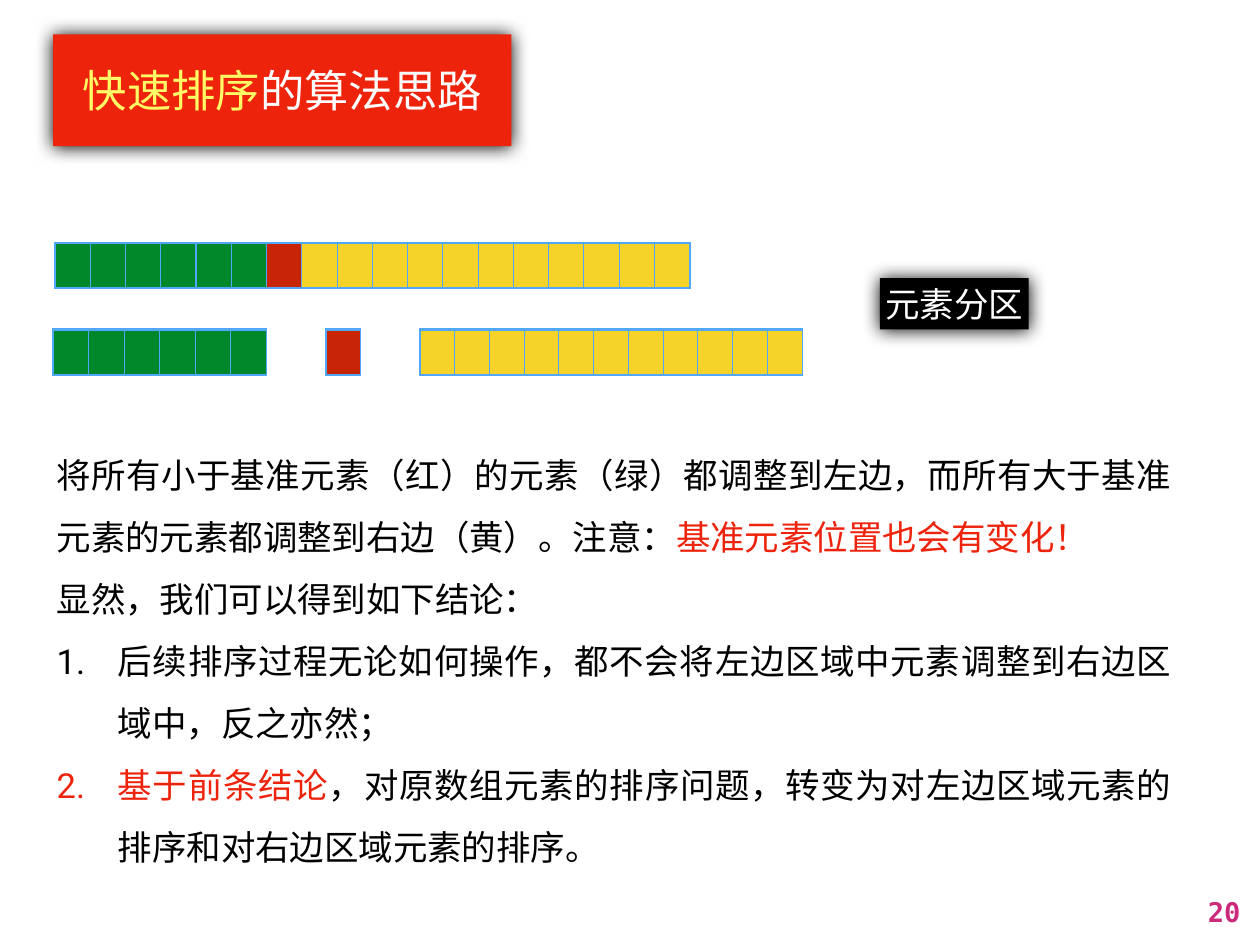
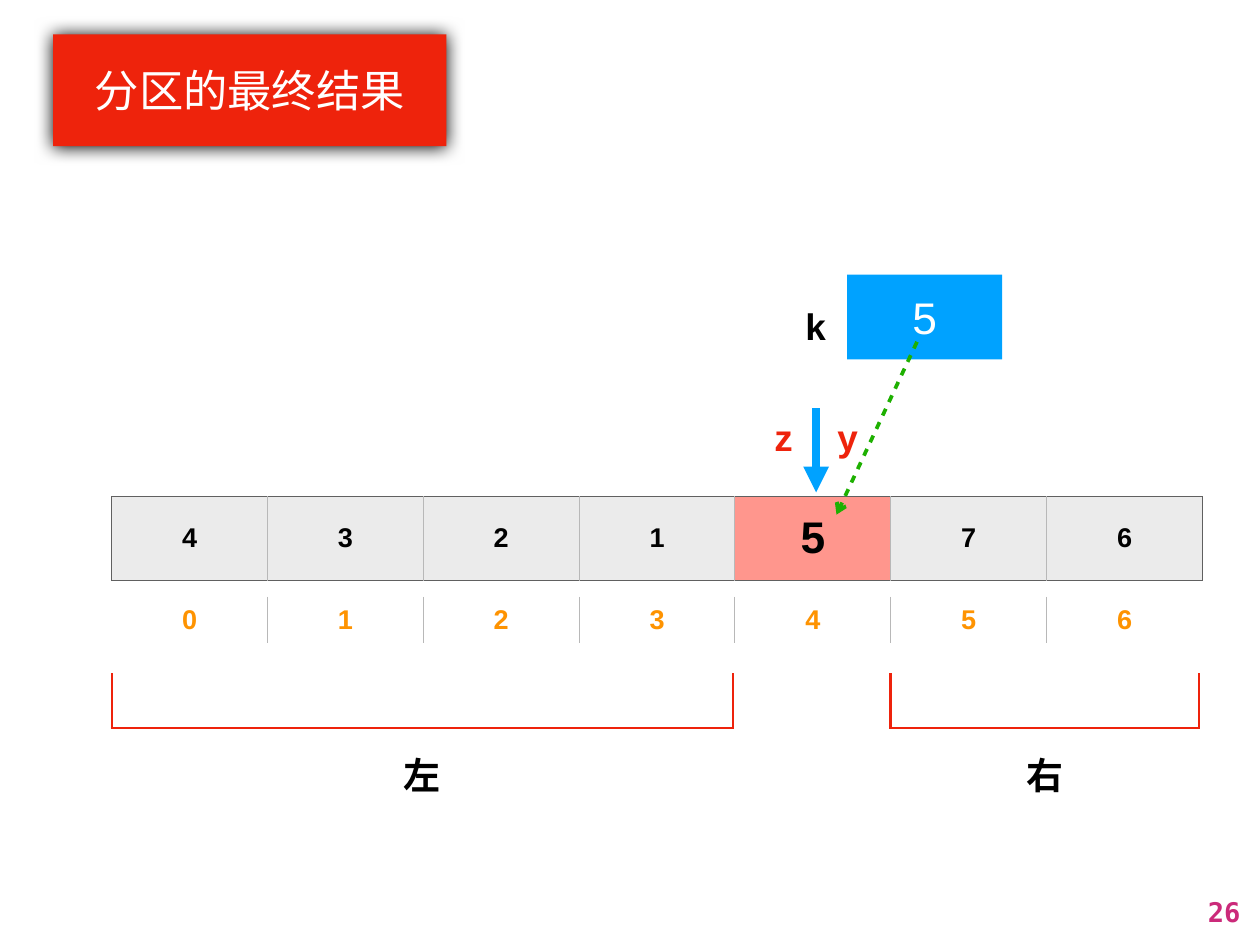
from dataclasses import dataclass
from typing import Optional

from lxml import etree
from pptx import Presentation, util as u
from pptx.dml.color import RGBColor
from pptx.enum import shapes, text
from pptx.oxml import ns


# Theme: colours, fonts and type sizes
@dataclass(frozen=True)
class Theme:
    red: str = "EE230C"
    black: str = "000000"
    white: str = "FFFFFF"
    highlight: str = "FFFC66"
    page: str = "CB2A7A"
    smaller: str = "00882B"
    pivot: str = "C82506"
    larger: str = "F5D328"
    grid: str = "51A7F9"
    cell: str = "EBEBEB"
    cell_pivot: str = "FF968D"
    frame: str = "606060"
    divider: str = "B8B8B8"
    index: str = "FE9301"
    blue: str = "00A2FF"
    green: str = "1EB001"
    sans: str = "Arial"
    reading: str = "Roboto"
    mono: str = "DejaVu Sans Mono"
    title_pt: int = 36
    label_pt: int = 30
    body_pt: int = 28
    small_pt: int = 22


T = Theme()

# Grid: 100 columns by about 75 rows of square units
WIDTH, HEIGHT = 14.22, 10.67
UNIT = WIDTH / 100
CENTER, LEFT, RIGHT, JUSTIFY = (text.PP_ALIGN.CENTER, text.PP_ALIGN.LEFT,
                                text.PP_ALIGN.RIGHT, text.PP_ALIGN.JUSTIFY)
MARGIN = 4.22


@dataclass(frozen=True)
class Edges:
    """Borders of a strip of cells, each a (colour, points) pair or None."""
    first: Optional[tuple] = None
    inner: Optional[tuple] = None
    last: Optional[tuple] = None
    top: Optional[tuple] = None
    bottom: Optional[tuple] = None


def units(*lengths):
    return [u.Inches(length * UNIT) for length in lengths]


def color(value):
    return RGBColor.from_string(value)


def sub(parent, tag, **attributes):
    return etree.SubElement(parent, ns.qn(tag), attributes)


# Text
def style(run, size, ink, font=T.sans, bold=False):
    run.font.size, run.font.bold, run.font.name = u.Pt(size), bold, font
    run.font.color.rgb = color(ink)
    sub(run.font._element, "a:ea", typeface=font)


def write(paragraph, parts, size, font=T.sans, bold=False, align=LEFT, spacing=None):
    """Write (wording, colour) parts into one paragraph."""
    paragraph.alignment = align
    if spacing:
        paragraph.line_spacing = spacing
    for wording, ink in parts:
        run = paragraph.add_run()
        run.text = wording
        style(run, size, ink, font, bold)


def frame_text(shape, inset, anchor=text.MSO_ANCHOR.MIDDLE, wrap=True, grow=False):
    frame = shape.text_frame
    frame.word_wrap, frame.vertical_anchor = wrap, anchor
    frame.auto_size = (text.MSO_AUTO_SIZE.SHAPE_TO_FIT_TEXT if grow
                       else text.MSO_AUTO_SIZE.NONE)
    frame.margin_left = frame.margin_right = u.Inches(inset)
    frame.margin_top = frame.margin_bottom = u.Inches(inset)
    return frame


def block(slide, place, fill, parts, size, shadow=False, wrap=True, grow=False):
    shape = slide.shapes.add_shape(shapes.MSO_SHAPE.RECTANGLE, *units(*place))
    shape.shadow.inherit = False
    shape.fill.solid()
    shape.fill.fore_color.rgb = color(fill)
    shape.line.fill.background()
    if shadow:
        effects = shape._element.spPr.find(ns.qn("a:effectLst"))
        outer = sub(effects, "a:outerShdw", blurRad=str(u.Pt(15)), dist=str(u.Pt(0.7)),
                    dir="5400000", rotWithShape="0")
        sub(outer, "a:srgbClr", val=T.black)
    frame = frame_text(shape, 0.06, wrap=wrap, grow=grow)
    write(frame.paragraphs[0], parts, size, align=CENTER)


def label(slide, place, wording, ink=T.black):
    box = slide.shapes.add_textbox(*units(*place))
    frame = frame_text(box, 0.06, wrap=False, grow=True)
    write(frame.paragraphs[0], [(wording, ink)], T.label_pt, bold=True, spacing=1.4)


def number_item(paragraph):
    properties = paragraph._p.get_or_add_pPr()
    indent = u.Inches(0.69)
    properties.set("marL", str(indent))
    properties.set("indent", str(-indent))
    sub(properties, "a:buAutoNum", type="arabicPeriod")


# Strips of cells
def border(properties, side, edge):
    if edge is None:
        sub(sub(properties, side, w="0"), "a:noFill")
        return
    ink, points = edge
    line = sub(properties, side, w=str(u.Pt(points)))
    sub(sub(line, "a:solidFill"), "a:srgbClr", val=ink)


def strip(slide, left, top, widths, height, fills, edges, unlined=()):
    """Add a one-row table; cells listed in unlined have no bottom border."""
    holder = slide.shapes.add_table(1, len(widths), *units(left, top, sum(widths), height))
    table = holder.table
    table.first_row = table.horz_banding = False
    end = len(widths) - 1
    for i, (width, fill) in enumerate(zip(widths, fills)):
        table.columns[i].width = units(width)[0]
        cell = table.cell(0, i)
        properties = cell._tc.get_or_add_tcPr()
        border(properties, "a:lnL", edges.inner if i else edges.first)
        border(properties, "a:lnR", edges.inner if i < end else edges.last)
        border(properties, "a:lnT", edges.top)
        border(properties, "a:lnB", None if i in unlined else edges.bottom)
        if fill:
            cell.fill.solid()
            cell.fill.fore_color.rgb = color(fill)
        else:
            cell.fill.background()
    return table


def fill_cells(table, values, ink, sizes):
    for cell, value, size in zip(table.iter_cells(), values, sizes):
        cell.vertical_anchor = text.MSO_ANCHOR.MIDDLE
        cell.margin_left = cell.margin_right = u.Inches(0.06)
        cell.margin_top = cell.margin_bottom = u.Inches(0.06)
        write(cell.text_frame.paragraphs[0], [(value, ink)], size, bold=True, align=CENTER)


# Arrows
def arrow(slide, start, finish, ink, points, head, dashed=False):
    link = slide.shapes.add_connector(shapes.MSO_CONNECTOR.STRAIGHT,
                                      *units(*start, *finish))
    link.line.color.rgb = color(ink)
    link.line.width = u.Pt(points)
    line = link.line._get_or_add_ln()
    if dashed:
        sub(sub(line, "a:custDash"), "a:ds", d="200000", sp="200000")
    sub(line, "a:tailEnd", type=head)
    sub(link._element.spPr, "a:effectLst")


# Shared parts of every slide
def new_slide(deck, title, title_width, page):
    slide = deck.slides.add_slide(deck.slide_layouts[6])
    block(slide, (MARGIN, 2.74, title_width, 8.86), T.red, title, T.title_pt, shadow=True)
    box = slide.shapes.add_textbox(*units(95.29, 70.6, 3.66, 3.52))
    frame = frame_text(box, 0.07, text.MSO_ANCHOR.TOP, wrap=False, grow=True)
    write(frame.paragraphs[0], [(page, T.page)], T.small_pt, T.mono, True, RIGHT)
    return slide


def idea_slide(deck):
    slide = new_slide(deck, [("快速排序", T.highlight), ("的算法思路", T.white)], 36.36, "20")

    # Whole array, then its three parts
    thin, thick = (T.grid, 1), (T.grid, 2)
    whole = Edges(thick, thin, thick, thick, thick)
    part = Edges(thick, thin, thin, thick, thick)
    smaller, pivot, larger = [T.smaller] * 6, [T.pivot], [T.larger] * 11
    for left, top, width, fills, edges in (
            (4.36, 19.27, 2.8, smaller + pivot + larger, whole),
            (MARGIN, 26.16, 2.82, smaller, part),
            (25.88, 26.16, 2.74, pivot, part),
            (33.33, 26.16, 2.76, larger, part)):
        strip(slide, left, top, [width] * len(fills), 3.59, fills, edges)
    block(slide, (69.83, 22.08, 11.81, 4.08), T.black, [("元素分区", T.white)],
          T.body_pt, shadow=True, wrap=False, grow=True)

    # Explanation and numbered conclusions
    explanation = (
        (False, [("将所有小于基准元素（红）的元素（绿）都调整到左边，而所有大于基准元素的元素都"
                  "调整到右边（黄）。注意：", T.black), ("基准元素位置也会有变化！", T.red)]),
        (False, [("显然，我们可以得到如下结论：", T.black)]),
        (True, [("后续排序过程无论如何操作，都不会将左边区域中元素调整到右边区域中，反之亦然；",
                 T.black)]),
        (True, [("基于前条结论", T.red),
                ("，对原数组元素的排序问题，转变为对左边区域元素的排序和对右边区域元素的排序。",
                 T.black)]),
    )
    box = slide.shapes.add_textbox(*units(MARGIN, 34.25, 89.1, 34.81))
    frame = frame_text(box, 0.04, grow=True)
    for i, (numbered, parts) in enumerate(explanation):
        paragraph = frame.add_paragraph() if i else frame.paragraphs[0]
        if numbered:
            number_item(paragraph)
        write(paragraph, parts, T.body_pt, T.reading, align=JUSTIFY, spacing=1.5)


def result_slide(deck):
    slide = new_slide(deck, [("分区的最终结果", T.white)], 31.22, "26")
    values, pivot_at = "4321576", 4
    left, columns = 8.86, [12.37] * len(values)

    # Array and its indexes
    frame, divider = (T.frame, 1), (T.divider, 1)
    fills, sizes = [T.cell] * len(values), [T.small_pt] * len(values)
    fills[pivot_at], sizes[pivot_at] = T.cell_pivot, T.title_pt
    array = strip(slide, left, 39.45, columns, 6.61, fills,
                  Edges(frame, divider, frame, frame, frame))
    fill_cells(array, values, T.black, sizes)
    indexes = strip(slide, left, 47.4, columns, 3.66, [T.white] * len(values),
                    Edges(inner=divider))
    fill_cells(indexes, map(str, range(len(values))), T.index, [T.small_pt] * len(values))

    # Brackets under the two parts, each with its name centred below
    rule = (T.red, 2)
    spans = [49.3, 12.52, 24.47]
    strip(slide, left, 53.45, spans, 4.36, [None] * 3,
          Edges(rule, rule, rule, bottom=rule), unlined=(1,))
    name_width = 3.8
    for name, middle in (("左", spans[0] / 2), ("右", sum(spans) - spans[2] / 2)):
        label(slide, (left + middle - name_width / 2, 58.37, name_width, 4.85), name)

    # Pivot value and the pointers
    block(slide, (67.23, 21.8, 12.31, 6.75), T.blue, [("5", T.white)], T.title_pt)
    label(slide, (63.5, 23, 2.53, 4.29), "k")
    for name, column in (("z", 61.04), ("y", 66.03)):
        label(slide, (column, 31.86, 2.39, 4.29), name, T.red)
    arrow(slide, (64.77, 32.42), (64.77, 39.1), T.blue, 7, "triangle")
    arrow(slide, (72.78, 27.14), (66.39, 40.86), T.green, 3, "arrow", dashed=True)


def main():
    deck = Presentation()
    deck.slide_width, deck.slide_height = u.Inches(WIDTH), u.Inches(HEIGHT)
    idea_slide(deck)
    result_slide(deck)
    deck.save("out.pptx")


if __name__ == "__main__":
    main()
